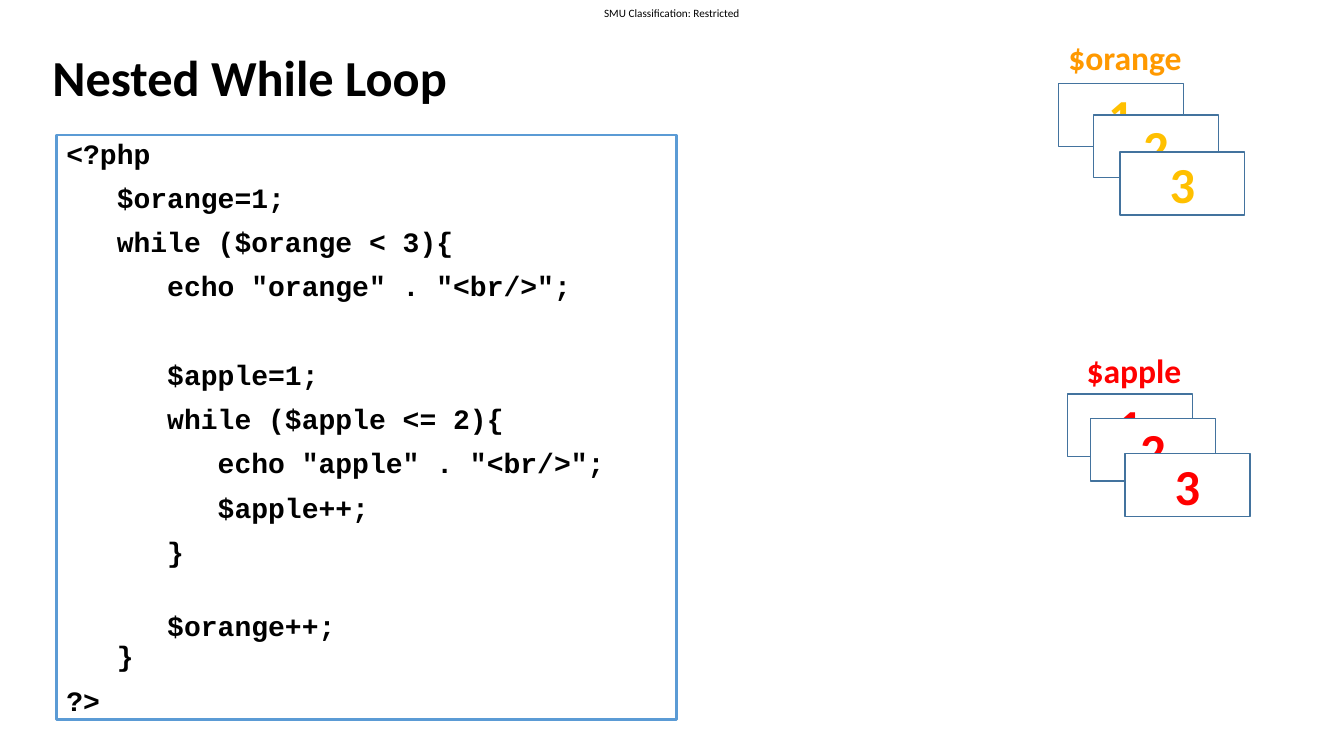
import dataclasses
import pptx
import pptx.dml.color
import pptx.enum.shapes
import pptx.enum.text
import pptx.util

Pt = pptx.util.Pt
ALIGN = pptx.enum.text.PP_ALIGN
ANCHOR = pptx.enum.text.MSO_ANCHOR
FIT = pptx.enum.text.MSO_AUTO_SIZE


@dataclasses.dataclass(frozen=True)
class Theme:
    font: str = "Calibri"
    code_font: str = "Courier New"
    ink: str = "000000"
    paper: str = "FFFFFF"
    code_border: str = "5B9BD5"
    card_border: str = "43739E"
    orange: str = "FF9900"
    orange_count: str = "FFC000"
    apple: str = "FF0000"
    title_size: int = 36
    label_size: int = 24
    code_size: int = 20
    card_size: int = 36
    header_size: int = 8


class SlideBuilder:
    def __init__(self, slide, theme):
        self.slide = slide
        self.theme = theme

    def color(self, value):
        return pptx.dml.color.RGBColor.from_string(value)

    def format(self, paragraph, size, color, font=None, bold=True):
        for run in paragraph.runs:
            run.font.name = font or self.theme.font
            run.font.size = Pt(size)
            run.font.bold = bold
            run.font.color.rgb = self.color(color)

    def title(self, text, left, top, width, height):
        heading = self.slide.shapes.title
        heading.left, heading.top = Pt(left), Pt(top)
        heading.width, heading.height = Pt(width), Pt(height)
        frame = heading.text_frame
        frame.text = text
        frame.word_wrap = False
        frame.auto_size = FIT.NONE
        frame.vertical_anchor = ANCHOR.TOP
        frame.paragraphs[0].alignment = ALIGN.LEFT
        self.format(frame.paragraphs[0], self.theme.title_size, self.theme.ink)

    def header(self, text, left, top, width, height):
        box = self.slide.shapes.add_textbox(Pt(left), Pt(top), Pt(width), Pt(height))
        frame = box.text_frame
        frame.margin_left = frame.margin_right = 0
        frame.margin_top = frame.margin_bottom = 0
        frame.word_wrap = True
        frame.vertical_anchor = ANCHOR.MIDDLE
        frame.text = text
        frame.paragraphs[0].alignment = ALIGN.CENTER
        self.format(frame.paragraphs[0], self.theme.header_size, self.theme.ink, bold=False)

    def label(self, text, left, top, width, height, color):
        box = self.slide.shapes.add_textbox(Pt(left), Pt(top), Pt(width), Pt(height))
        frame = box.text_frame
        frame.word_wrap = False
        frame.text = text
        self.format(frame.paragraphs[0], self.theme.label_size, color)

    def rectangle(self, left, top, width, height, border, weight):
        panel = self.slide.shapes.add_shape(
            pptx.enum.shapes.MSO_SHAPE.RECTANGLE, Pt(left), Pt(top), Pt(width), Pt(height))
        panel.shadow.inherit = False
        panel.fill.solid()
        panel.fill.fore_color.rgb = self.color(self.theme.paper)
        panel.line.color.rgb = self.color(border)
        panel.line.width = Pt(weight)
        return panel

    def code(self, lines, left, top, width, height):
        panel = self.rectangle(left, top, width, height, self.theme.code_border, 2)
        frame = panel.text_frame
        frame.word_wrap = True
        frame.vertical_anchor = ANCHOR.TOP
        for index, (text, space) in enumerate(lines):
            paragraph = frame.add_paragraph() if index else frame.paragraphs[0]
            paragraph.text = text
            paragraph.alignment = ALIGN.LEFT
            paragraph.line_spacing = 0.9
            paragraph.space_before = Pt(space)
            self.format(paragraph, self.theme.code_size, self.theme.ink, self.theme.code_font)

    def cards(self, corners, color):
        for number, (left, top) in enumerate(corners, 1):
            card = self.rectangle(left, top, 89.3, 44.8, self.theme.card_border, 1)
            frame = card.text_frame
            frame.vertical_anchor = ANCHOR.MIDDLE
            frame.text = str(number)
            frame.paragraphs[0].alignment = ALIGN.CENTER
            self.format(frame.paragraphs[0], self.theme.card_size, color)


LINE_GAP = 10
CODE = [
    ("<?php", 0),
    ("   $orange=1;", LINE_GAP),
    ("   while ($orange < 3){", LINE_GAP),
    ('      echo "orange" . "<br/>";', LINE_GAP),
    ("      $apple=1;", 41.6),
    ("      while ($apple <= 2){", LINE_GAP),
    ('         echo "apple" . "<br/>";', LINE_GAP),
    ("         $apple++;", LINE_GAP),
    ("      }", LINE_GAP),
    ("      $orange++;\v   }", 31.4),
    ("?>", LINE_GAP),
]


def main():
    deck = pptx.Presentation()
    deck.slide_width, deck.slide_height = Pt(960), Pt(540)
    theme = Theme()
    builder = SlideBuilder(deck.slides.add_slide(deck.slide_layouts[5]), theme)
    builder.header("SMU Classification: Restricted", 421.2, 0, 117.4, 18)
    builder.title("Nested While Loop", 30.2, 29.5, 308.2, 51.1)
    builder.code(CODE, 40.3, 96.5, 442.8, 417.6)
    builder.label("$orange", 756, 23, 96.5, 36.4, theme.orange)
    builder.cards([(756, 59.8), (781.2, 82.1), (799.9, 108.7)], theme.orange_count)
    builder.label("$apple", 769, 246.2, 82.8, 36.4, theme.apple)
    builder.cards([(762.5, 281.5), (779, 298.8), (803.5, 324)], theme.apple)
    deck.save("out.pptx")


if __name__ == "__main__":
    main()
